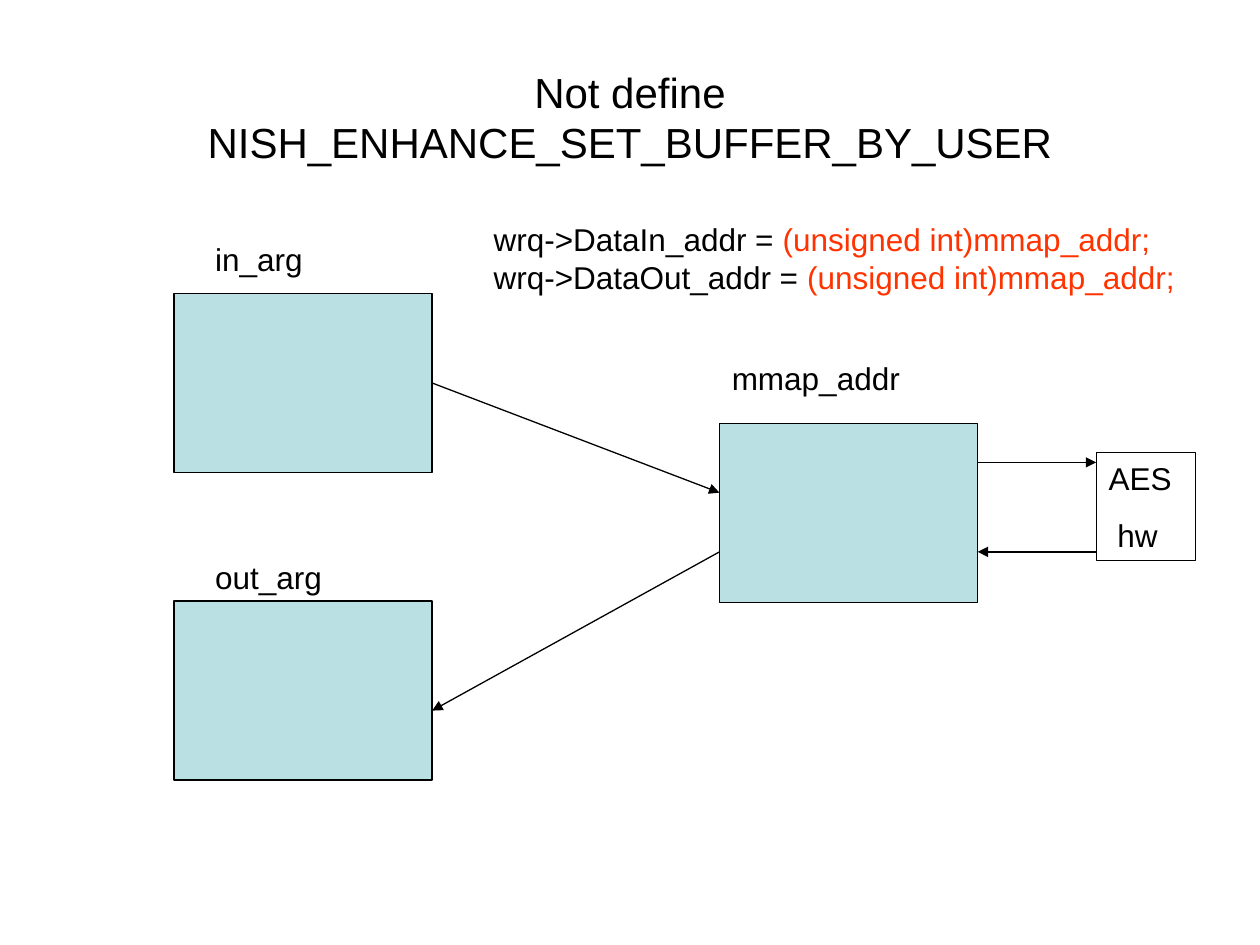
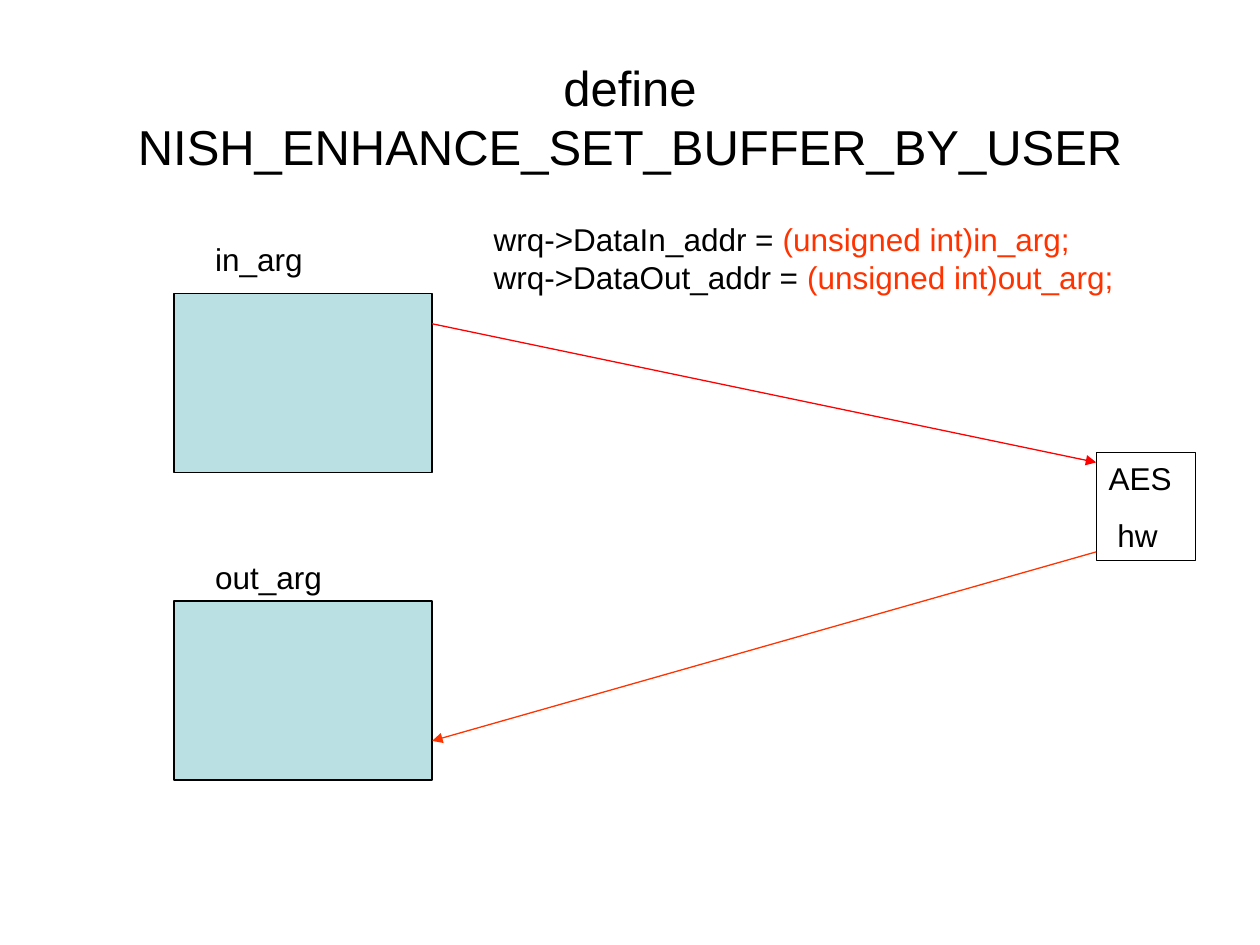
from dataclasses import dataclass

from lxml import etree
from pptx import Presentation
from pptx import util as u
from pptx.dml.color import RGBColor
from pptx.enum import shapes, text
from pptx.oxml.ns import qn

PX = 9144
MACRO = "NISH_ENHANCE_SET_BUFFER_BY_USER"
BUFFER_SIZE = (205, 142)
IN_AT, OUT_AT, MMAP_AT = (138, 233), (138, 477), (571, 336)
ARG_RIGHT = IN_AT[0] + BUFFER_SIZE[0]
MMAP_RIGHT = MMAP_AT[0] + BUFFER_SIZE[0]
HW_LEFT, HW_IN_Y, HW_OUT_Y = 870, 367, 438


@dataclass(frozen=True)
class Theme:
    """Colours, font and type sizes shared by the slides."""
    ink: str = "000000"
    buffer: str = "BBE0E3"
    accent: str = "FF3300"
    red: str = "FF0000"
    font: str = "Arial"
    body: int = 18
    line: float = 0.75
    gap: float = 11.2


def px(*lengths):
    """Turn px lengths into EMU."""
    return [u.Emu(length * PX) for length in lengths]


def add_text(para, words, *, font, size, color):
    """Add one formatted span, with line breaks at newlines."""
    for index, line in enumerate(words.split("\n")):
        if index:
            para.add_line_break()
        span = para.add_run()
        span.text = line
        span.font.name = font
        span.font.size = u.Pt(size)
        span.font.color.rgb = RGBColor.from_string(color)


class Sketch:
    """Draws buffer diagrams on the current page of a deck."""

    def __init__(self, deck, theme):
        """Hold the deck and its theme."""
        self.deck, self.theme, self.page = deck, theme, None

    def start(self, title, size):
        """Open a new page with a centred title."""
        self.page = self.deck.slides.add_slide(self.deck.slide_layouts[5])
        box = self.page.shapes.title
        box.left, box.top, box.width, box.height = px(50, 30, 900, 125)
        frame = box.text_frame
        frame.auto_size = text.MSO_AUTO_SIZE.NONE
        frame.vertical_anchor = text.MSO_ANCHOR.MIDDLE
        para = frame.paragraphs[0]
        para.alignment = text.PP_ALIGN.CENTER
        add_text(para, title, font=self.theme.font, size=size, color=self.theme.ink)

    def fill_frame(self, frame, lines, gap=0):
        """Fill a frame with lines, each a list of (words, colour) spans."""
        frame.word_wrap = True
        frame.vertical_anchor = text.MSO_ANCHOR.TOP
        for index, spans in enumerate(lines):
            para = frame.add_paragraph() if index else frame.paragraphs[0]
            para.alignment = text.PP_ALIGN.LEFT
            para.space_before = u.Pt(gap if index else 0)
            for words, color in spans:
                add_text(para, words, font=self.theme.font,
                         size=self.theme.body, color=color)

    def label(self, lines, left, top, width, height=40):
        """Add a text box."""
        box = self.page.shapes.add_textbox(*px(left, top, width, height))
        self.fill_frame(box.text_frame, lines)

    def name(self, words, left, top, width):
        """Add a one-line buffer name."""
        self.label([[(words, self.theme.ink)]], left, top, width)

    def rectangle(self, at, size, fill=None):
        """Add an outlined rectangle, filled if a colour is given."""
        box = self.page.shapes.add_shape(
            shapes.MSO_SHAPE.RECTANGLE, *px(*at, *size))
        box.shadow.inherit = False
        if fill:
            box.fill.solid()
            box.fill.fore_color.rgb = RGBColor.from_string(fill)
        else:
            box.fill.background()
        box.line.color.rgb = RGBColor.from_string(self.theme.ink)
        box.line.width = u.Pt(self.theme.line)
        return box

    def buffer(self, at):
        """Add a memory buffer."""
        return self.rectangle(at, BUFFER_SIZE, self.theme.buffer)

    def arrow(self, start, end, color=None, source=None):
        """Add an arrow, joined to the right side of a source if given."""
        line = self.page.shapes.add_connector(
            shapes.MSO_CONNECTOR.STRAIGHT, *px(*start, *end))
        if source is not None:
            line.begin_connect(source, 3)
        line.line.color.rgb = RGBColor.from_string(color or self.theme.ink)
        line.line.width = u.Pt(self.theme.line)
        properties = line._element.spPr
        etree.SubElement(properties.find(qn("a:ln")), qn("a:tailEnd"), type="triangle")
        etree.SubElement(properties, qn("a:effectLst"))

    def arguments(self):
        """Add the named input and output buffers and return the input."""
        source = self.buffer(IN_AT)
        self.buffer(OUT_AT)
        self.name("in_arg", 161, 186, 134)
        self.name("out_arg", 161, 438, 126)
        return source

    def assignments(self, data_in, data_out):
        """Add the two address assignments."""
        self.label([[(f"wrq->Data{way}_addr =", self.theme.ink),
                     (f" (unsigned int){value};", self.theme.accent)]
                    for way, value in (("In", data_in), ("Out", data_out))],
                   382, 170, 583, 70)

    def hardware(self):
        """Add the AES hardware block."""
        box = self.rectangle((HW_LEFT, 359), (79, 86))
        self.fill_frame(box.text_frame,
                        [[(words, self.theme.ink)] for words in ("AES", " hw")],
                        self.theme.gap)


def draw_mapped(sketch):
    """Draw the transfer through the mapped buffer."""
    sketch.start(f"Not define\n{MACRO}", 24)
    source = sketch.arguments()
    sketch.buffer(MMAP_AT)
    sketch.name("mmap_addr", 571, 280, 260)
    sketch.assignments("mmap_addr", "mmap_addr")
    sketch.hardware()
    sketch.arrow((ARG_RIGHT, 304), (MMAP_AT[0], 391), source=source)
    sketch.arrow((MMAP_AT[0], HW_OUT_Y), (ARG_RIGHT, 564))
    sketch.arrow((MMAP_RIGHT, HW_IN_Y), (HW_LEFT, HW_IN_Y))
    sketch.arrow((HW_LEFT, HW_OUT_Y), (MMAP_RIGHT, HW_OUT_Y))


def draw_direct(sketch):
    """Draw the transfer straight between user buffers and hardware."""
    sketch.start(f"define\n{MACRO}", 28)
    sketch.arguments()
    sketch.assignments("in_arg", "out_arg")
    sketch.hardware()
    sketch.arrow((ARG_RIGHT, 257), (HW_LEFT, HW_IN_Y), sketch.theme.red)
    sketch.arrow((HW_LEFT, HW_OUT_Y), (ARG_RIGHT, 588), sketch.theme.accent)


def main():
    """Build and save the deck."""
    deck = Presentation()
    deck.slide_width, deck.slide_height = px(1000, 750)
    sketch = Sketch(deck, Theme())
    draw_mapped(sketch)
    draw_direct(sketch)
    deck.save("out.pptx")


if __name__ == "__main__":
    main()
